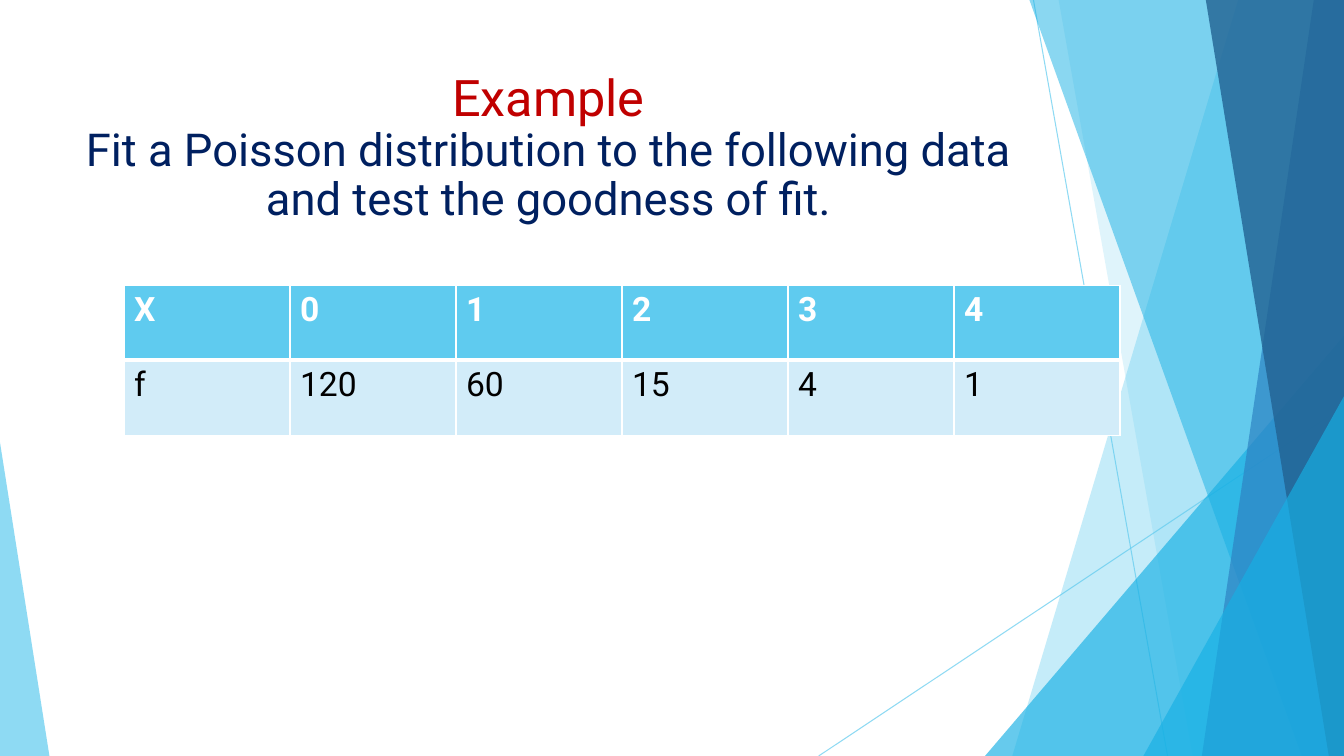
import pptx
import pptx.dml.color
import pptx.enum.shapes
import pptx.enum.text
import pptx.oxml
import pptx.oxml.ns
import pptx.util
from lxml import etree

RGBColor = pptx.dml.color.RGBColor
Inches = pptx.util.Inches
Pt = pptx.util.Pt
qn = pptx.oxml.ns.qn

SKY = RGBColor(0x5F, 0xCB, 0xEF)
CYAN = RGBColor(0x17, 0xB0, 0xE4)
BLUE = RGBColor(0x2E, 0x83, 0xC3)
DEEP_BLUE = RGBColor(0x22, 0x62, 0x92)
PALE_BLUE = RGBColor(0xD2, 0xEC, 0xF9)
RED = RGBColor(0xC0, 0x00, 0x00)
NAVY = RGBColor(0x00, 0x20, 0x60)
WHITE = RGBColor(0xFF, 0xFF, 0xFF)
BLACK = RGBColor(0x00, 0x00, 0x00)

FONT = "Roboto"
WIDTH, HEIGHT = 13.33, 7.5
DATA = [["X", "0", "1", "2", "3", "4"], ["f", "120", "60", "15", "4", "1"]]


def set_opacity(element, percent):
    """Give the first solid colour inside the element an opacity."""
    colour = next(element.iter(qn("a:srgbClr")))
    etree.SubElement(colour, qn("a:alpha"), val=str(percent * 1000))


def paint(shape, colour, opacity):
    """Fill a shape with a translucent colour and no outline."""
    shape.shadow.inherit = False
    shape.fill.solid()
    shape.fill.fore_color.rgb = colour
    shape.line.fill.background()
    set_opacity(shape._element.spPr, opacity)


def add_ray(slide, start, end):
    """Draw one thin line of the backdrop."""
    connector = slide.shapes.add_connector(
        pptx.enum.shapes.MSO_CONNECTOR.STRAIGHT, *map(Inches, start + end))
    connector.line.color.rgb = SKY
    connector.line.width = Pt(0.75)
    properties = connector._element.spPr
    set_opacity(properties, 70)
    etree.SubElement(properties, qn("a:effectLst"))


def add_band(slide, top_x, bottom_x, colour, opacity):
    """Draw a full-height band from a slanted left edge to the slide's right edge."""
    builder = slide.shapes.build_freeform(Inches(top_x), 0, scale=1.0)
    corners = [(WIDTH, 0), (WIDTH, HEIGHT), (bottom_x, HEIGHT)]
    builder.add_line_segments([(Inches(x), Inches(y)) for x, y in corners], close=True)
    paint(builder.convert_to_shape(), colour, opacity)


def add_corner(slide, box, apex, colour, opacity):
    """Draw a triangle whose apex lies at a fraction of its width."""
    triangle = slide.shapes.add_shape(
        pptx.enum.shapes.MSO_SHAPE.ISOSCELES_TRIANGLE, *map(Inches, box))
    triangle.adjustments[0] = apex
    paint(triangle, colour, opacity)


def add_backdrop(slide):
    """Draw the faceted decoration from back to front."""
    add_ray(slide, (10.25, 0), (11.58, HEIGHT))
    add_ray(slide, (WIDTH, 4.03), (8.12, HEIGHT))
    add_band(slide, 12.28, 10.04, SKY, 36)
    add_band(slide, 10.5, 11.83, SKY, 20)
    add_corner(slide, (9.77, 3.33, 3.56, 4.17), 1, CYAN, 66)
    add_band(slide, 10.21, 12.91, CYAN, 50)
    add_band(slide, 13.03, 11.92, BLUE, 70)
    add_band(slide, 11.96, 13.18, DEEP_BLUE, 80)
    add_corner(slide, (11.34, 3.93, 1.99, 3.57), 1, CYAN, 66)
    add_corner(slide, (0, 4.39, 0.49, 3.11), 0, SKY, 70)


def add_text(paragraph, text, size, colour, bold=False):
    """Add one formatted run to a paragraph."""
    run = paragraph.add_run()
    run.text = text
    run.font.name = FONT
    run.font.size = Pt(size)
    run.font.bold = bold
    run.font.color.rgb = colour


def add_title(slide, left, top, width, height):
    """Place the heading and the task in the title placeholder."""
    title = slide.shapes.title
    title.left, title.top, title.width, title.height = map(
        Inches, (left, top, width, height))
    frame = title.text_frame
    frame.word_wrap = True
    frame.auto_size = pptx.enum.text.MSO_AUTO_SIZE.NONE
    frame.vertical_anchor = pptx.enum.text.MSO_ANCHOR.TOP
    paragraph = frame.paragraphs[0]
    paragraph.alignment = pptx.enum.text.PP_ALIGN.CENTER
    paragraph.line_spacing = 0.9
    add_text(paragraph, "Example", 36, RED)
    paragraph.add_line_break()
    add_text(paragraph, "Fit a Poisson distribution to the following data "
             "and test the goodness of fit.", 32.4, NAVY)


def set_borders(cell, widths):
    """Draw white cell borders, with widths for left, right, top and bottom."""
    properties = cell._tc.get_or_add_tcPr()
    for position, (side, points) in enumerate(zip("LRTB", widths)):
        border = pptx.oxml.parse_xml(
            f'<a:ln{side} {pptx.oxml.ns.nsdecls("a")} w="{Pt(points)}">'
            f'<a:solidFill><a:srgbClr val="{WHITE}"/></a:solidFill></a:ln{side}>')
        properties.insert(position, border)


def add_data_table(slide, left, top, width, height):
    """Place the frequency table with a coloured header row."""
    frame = slide.shapes.add_table(
        len(DATA), len(DATA[0]), *map(Inches, (left, top, width, height)))
    styles = [(SKY, WHITE, True, (1, 1, 1, 3)), (PALE_BLUE, BLACK, False, (1, 1, 3, 1))]
    for row, values, style in zip(frame.table.rows, DATA, styles):
        fill, colour, bold, borders = style
        for cell, value in zip(row.cells, values):
            cell.fill.solid()
            cell.fill.fore_color.rgb = fill
            set_borders(cell, borders)
            add_text(cell.text_frame.paragraphs[0], value, 24, colour, bold)


def add_example_slide(presentation):
    """Build the example slide on the title-only layout."""
    slide = presentation.slides.add_slide(presentation.slide_layouts[5])
    add_backdrop(slide)
    add_title(slide, 0.74, 0.67, 9.4, 1.93)
    title_element = slide.shapes.title._element
    title_element.getparent().append(title_element)
    add_data_table(slide, 1.23, 2.83, 9.88, 1.49)


def main():
    """Create and save the presentation."""
    presentation = pptx.Presentation()
    presentation.slide_width = Inches(WIDTH)
    presentation.slide_height = Inches(HEIGHT)
    add_example_slide(presentation)
    presentation.save("out.pptx")


if __name__ == "__main__":
    main()
